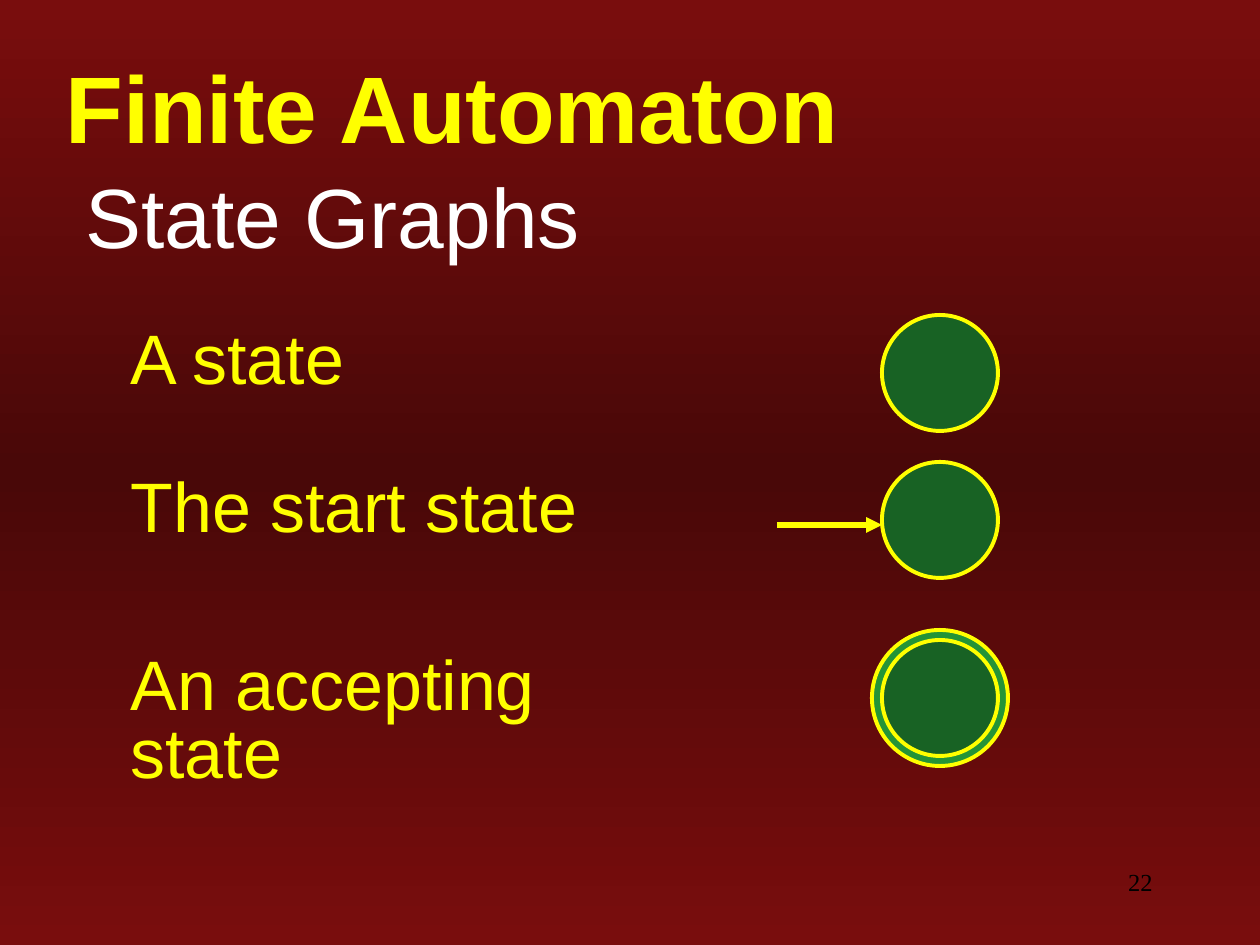
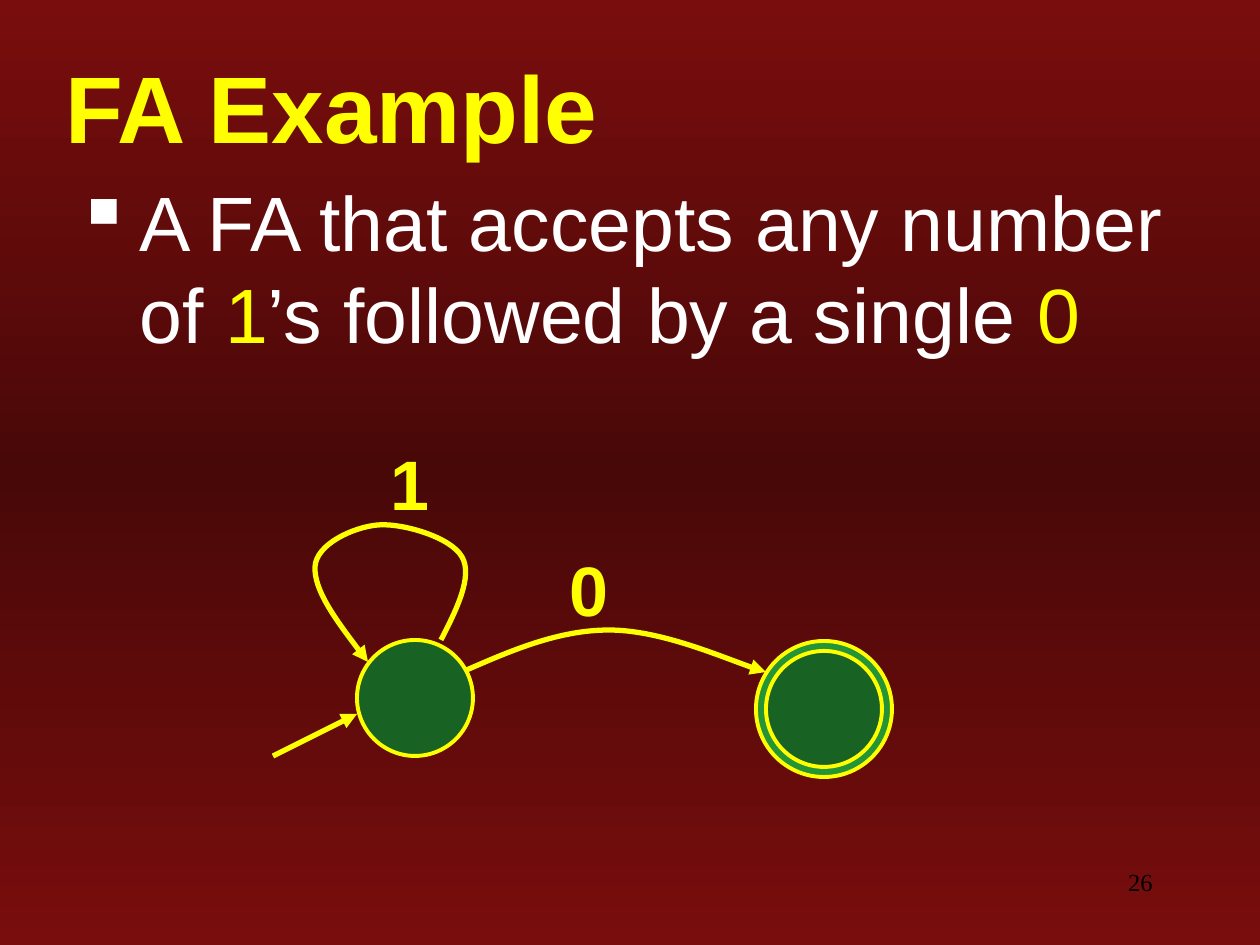
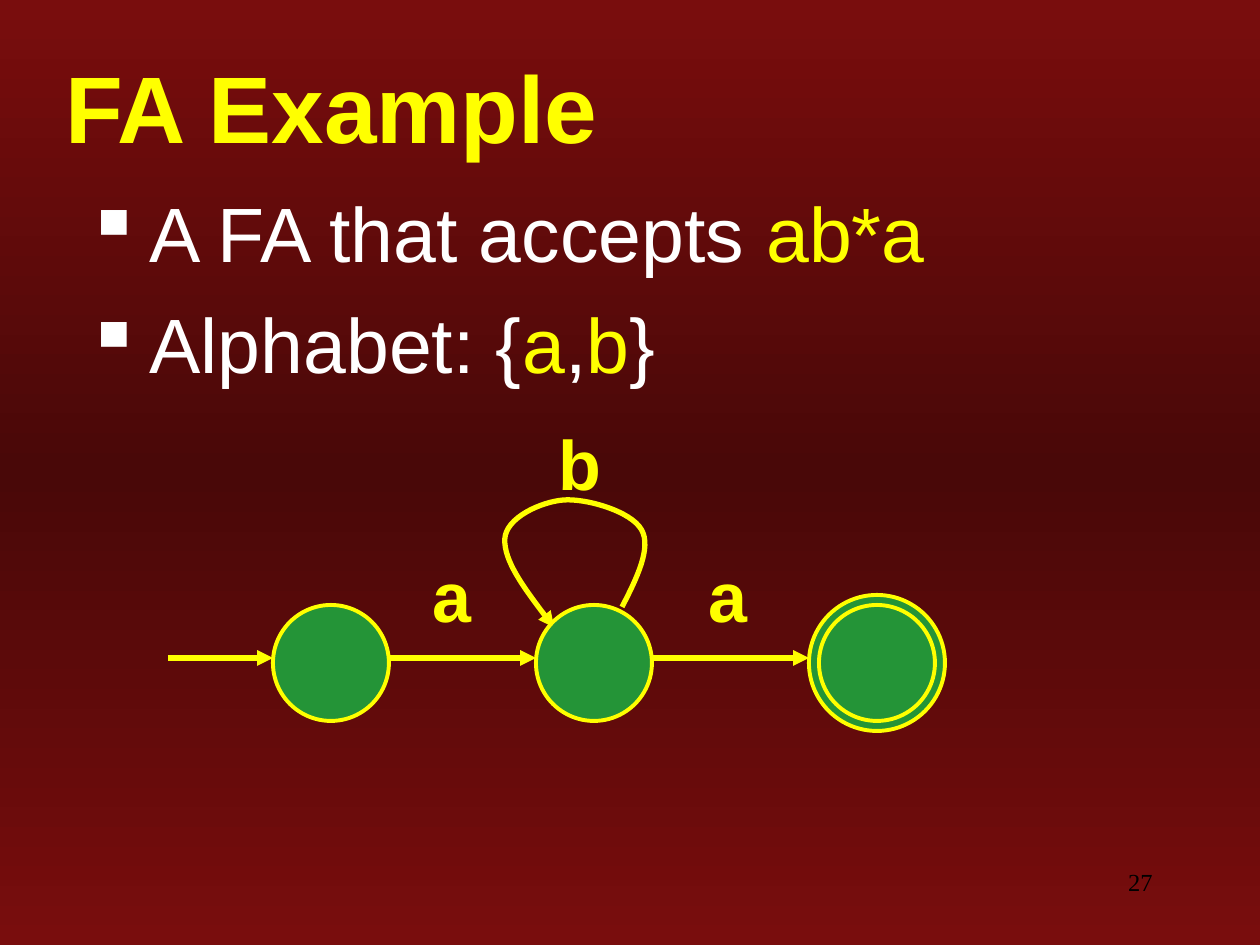
from lxml import etree
from pptx import Presentation
from pptx.dml.color import RGBColor
from pptx.enum.shapes import MSO_CONNECTOR, MSO_SHAPE
from pptx.enum.text import MSO_ANCHOR, MSO_AUTO_SIZE, PP_ALIGN
from pptx.oxml import parse_xml
from pptx.oxml.ns import nsdecls, qn
from pptx.util import Emu, Pt

STRAIGHT = MSO_CONNECTOR.STRAIGHT
ELLIPSE = MSO_SHAPE.OVAL
MIDDLE = MSO_ANCHOR.MIDDLE
GROW = MSO_AUTO_SIZE.SHAPE_TO_FIT_TEXT
RIGHT = PP_ALIGN.RIGHT

EMU_PER_PX = 914400 / 126
YELLOW, WHITE, BLACK = "FFFF00", "FFFFFF", "000000"
GREEN, DARK_GREEN = "249437", "186224"
RED, DARK_RED = "790D0D", "490808"

TITLE = {"name": "Arial", "size": Pt(54), "bold": True}
SUBTITLE = {"name": "Arial", "size": Pt(48)}
BODY = {"name": "Arial", "size": Pt(44)}
LABEL = {"name": "Arial", "size": Pt(40)}
SYMBOL = {**LABEL, "bold": True}
NUMBER = {"name": "Times New Roman", "size": Pt(14)}

STATE_SIZE = 116
RING = 10
LOOP = [(0, 0), (16, -31), (32, -64), (21, -83), (10, -103), (-39, -117),
        (-63, -115), (-87, -113), (-125, -96), (-126, -73), (-127, -50),
        (-101, -14), (-73, 22)]


def px(length):
    return Emu(round(length * EMU_PER_PX))


def color(value):
    return RGBColor.from_string(value)


def assign(target, values):
    for key, value in values.items():
        setattr(target, key, value)


def add_text(slide, box, paragraphs, font, frame_format=None, paragraph_format=None):
    frame = slide.shapes.add_textbox(*map(px, box)).text_frame
    assign(frame, {"word_wrap": True, **(frame_format or {})})
    for index, runs in enumerate(paragraphs):
        paragraph = frame.add_paragraph() if index else frame.paragraphs[0]
        assign(paragraph, paragraph_format or {})
        for text, shade in runs:
            run = paragraph.add_run()
            run.text = text
            assign(run.font, font)
            run.font.color.rgb = color(shade)
    return frame


def add_title(slide, text):
    frame = add_text(slide, (53, 53, 1218, 105), [[(text, YELLOW)]], TITLE,
                     {"vertical_anchor": MIDDLE})
    shadow = parse_xml(
        f'<a:effectLst {nsdecls("a")}><a:outerShdw dist="17961" dir="2700000">'
        '<a:srgbClr val="C0C0C0"/></a:outerShdw></a:effectLst>')
    properties = frame.paragraphs[0].runs[0].font._element
    properties.find(qn("a:solidFill")).addnext(shadow)


def add_bullets(slide, box, paragraphs):
    frame = add_text(slide, box, paragraphs, BODY)
    for index, paragraph in enumerate(frame.paragraphs):
        properties = paragraph._p.get_or_add_pPr()
        properties.set("marL", str(px(64)))
        properties.set("indent", str(px(-64)))
        bullet_color = etree.SubElement(properties, qn("a:buClr"))
        etree.SubElement(bullet_color, qn("a:srgbClr"), val=WHITE)
        etree.SubElement(properties, qn("a:buChar"), char="▪")
        if index:
            paragraph.space_before = Pt(11)


def add_label(slide, box, text, font=LABEL):
    add_text(slide, box, [[(text, YELLOW)]], font,
             {"auto_size": GROW}, {"line_spacing": 0.8})


def add_symbol(slide, left, top, text):
    add_label(slide, (left, top, 92, 81), text, SYMBOL)


def add_circle(slide, left, top, size, fill):
    circle = slide.shapes.add_shape(ELLIPSE, *map(px, (left, top, size, size)))
    circle.shadow.inherit = False
    circle.fill.solid()
    circle.fill.fore_color.rgb = color(fill)
    circle.line.color.rgb = color(YELLOW)
    circle.line.width = Pt(2.25)


def add_state(slide, left, top, fill, accepting=False):
    if accepting:
        add_circle(slide, left - RING, top - RING, STATE_SIZE + 2 * RING, GREEN)
    add_circle(slide, left, top, STATE_SIZE, fill)


def style_transition(transition):
    transition.line.color.rgb = color(YELLOW)
    transition.line.width = Pt(3)
    etree.SubElement(transition.line._get_or_add_ln(), qn("a:tailEnd"), type="triangle")


def add_arrow(slide, start, end):
    arrow = slide.shapes.add_connector(STRAIGHT, *map(px, start + end))
    style_transition(arrow)
    etree.SubElement(arrow._element.spPr, qn("a:effectLst"))


def add_curve(slide, points):
    start, *rest = [(px(x), px(y)) for x, y in points]
    builder = slide.shapes.build_freeform(*start)
    builder.add_line_segments(rest, close=False)
    curve = builder.convert_to_shape()
    segments = list(curve._element.iter(qn("a:lnTo")))
    outline = segments[0].getparent()
    for first in range(0, len(segments), 3):
        bezier = etree.SubElement(outline, qn("a:cubicBezTo"))
        for segment in segments[first:first + 3]:
            bezier.append(segment[0])
            outline.remove(segment)
    curve.fill.background()
    curve.shadow.inherit = False
    style_transition(curve)


def add_loop(slide, left, top, scale=1):
    add_curve(slide, [(left + x * scale, top + y * scale) for x, y in LOOP])


def start_slide(deck, title, number):
    slide = deck.slides.add_slide(deck.slide_layouts[6])
    fill = slide.background.fill
    fill.gradient()
    stops = "".join(
        f'<a:gs pos="{position}"><a:srgbClr val="{shade}"/></a:gs>'
        for position, shade in ((0, RED), (50000, DARK_RED), (100000, RED)))
    gradient = slide.background._cSld.find(".//" + qn("a:gradFill"))
    gradient.replace(gradient.find(qn("a:gsLst")),
                     parse_xml(f'<a:gsLst {nsdecls("a")}>{stops}</a:gsLst>'))
    fill.gradient_angle = 270
    add_text(slide, (903, 861, 262, 63), [[(number, BLACK)]], NUMBER,
             paragraph_format={"alignment": RIGHT})
    add_title(slide, title)
    return slide


def build_state_graphs(deck):
    slide = start_slide(deck, "Finite Automaton", "22")
    add_text(slide, (73, 158, 1229, 126), [[("State Graphs", WHITE)]], SUBTITLE)
    legend = [("A state", 325, 417, 81, 315, False),
              ("The start state", 473, 533, 81, 462, False),
              ("An accepting state", 651, 585, 147, 640, True)]
    for text, top, width, height, state_top, accepting in legend:
        add_label(slide, (118, top, width, height), text)
        add_state(slide, 882, state_top, DARK_GREEN, accepting)
    add_arrow(slide, (777, 525), (882, 525))


def build_ones_then_zero(deck):
    slide = start_slide(deck, "FA Example", "26")
    add_bullets(slide, (63, 168, 1166, 294), [
        [("A FA that accepts any number of ", WHITE), ("1", YELLOW),
         ("’s followed by a single ", WHITE), ("0", YELLOW)]])
    add_symbol(slide, 557, 557, "0")
    add_curve(slide, [(462, 672), (510, 651), (558, 630), (609, 630),
                      (660, 630), (741, 665), (766, 672)])
    add_state(slide, 357, 640, DARK_GREEN)
    add_state(slide, 766, 651, DARK_GREEN, accepting=True)
    add_arrow(slide, (273, 756), (357, 714))
    add_loop(slide, 441, 640)
    add_symbol(slide, 378, 451, "1")


def build_ab_star_a(deck):
    slide = start_slide(deck, "FA Example", "27")
    add_bullets(slide, (73, 179, 1229, 242), [
        [("A FA that accepts ", WHITE), ("ab*a", YELLOW)],
        [("Alphabet: {", WHITE), ("a", YELLOW), (",", WHITE), ("b", YELLOW), ("}", WHITE)]])
    add_loop(slide, 622, 607, 0.93)
    for left, accepting in ((273, False), (536, False), (819, True)):
        add_state(slide, left, 605, GREEN, accepting)
    for start, end in ((168, 273), (388, 536), (651, 809)):
        add_arrow(slide, (start, 658), (end, 658))
    for text, left, top in (("a", 420, 563), ("b", 546, 431), ("a", 696, 563)):
        add_symbol(slide, left, top, text)


def main():
    deck = Presentation()
    assign(deck, {"slide_width": px(1260), "slide_height": px(945)})
    build_state_graphs(deck)
    build_ones_then_zero(deck)
    build_ab_star_a(deck)
    deck.save("out.pptx")


if __name__ == "__main__":
    main()
